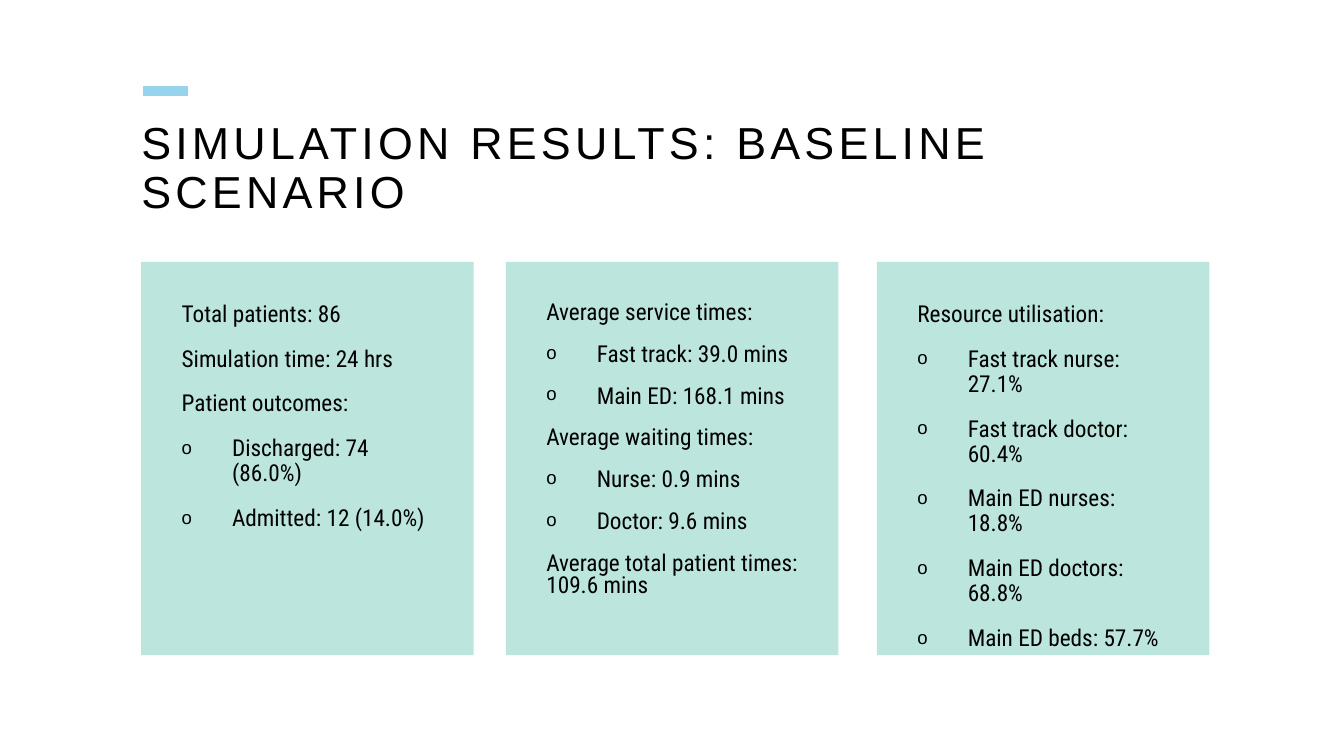
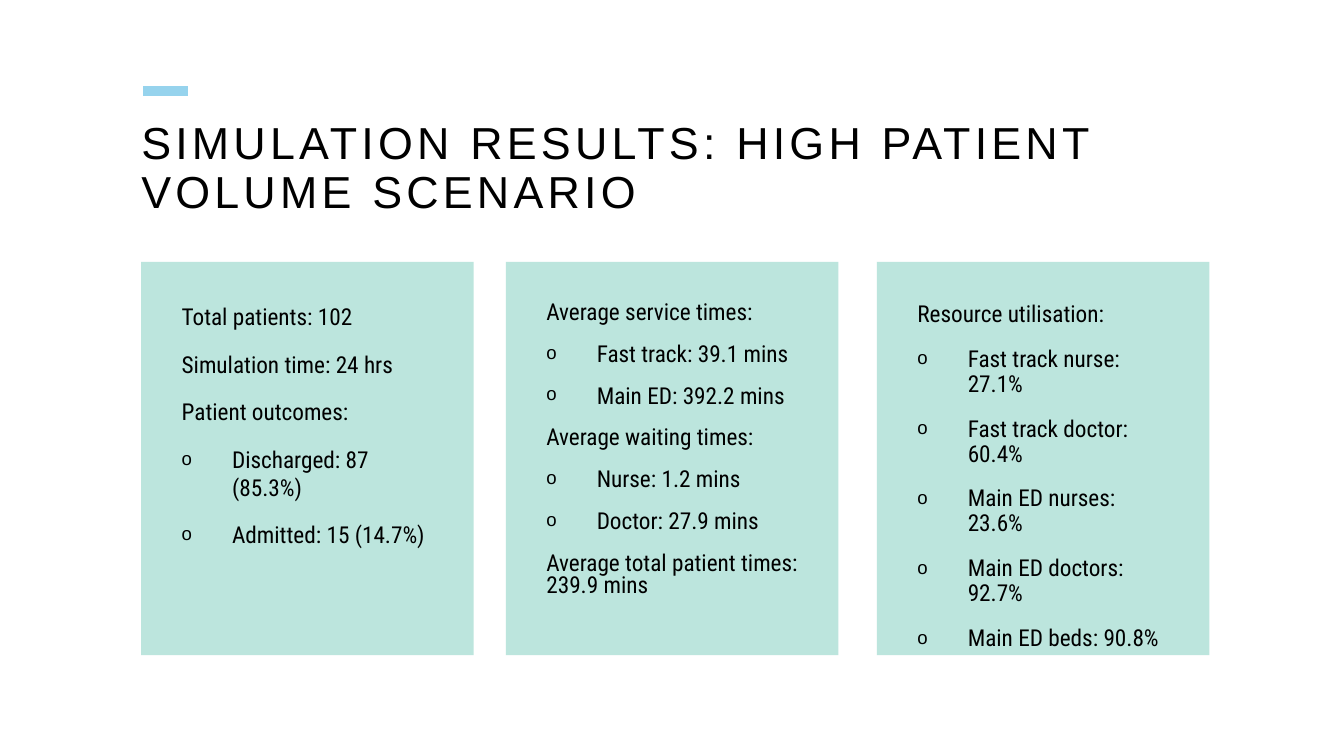
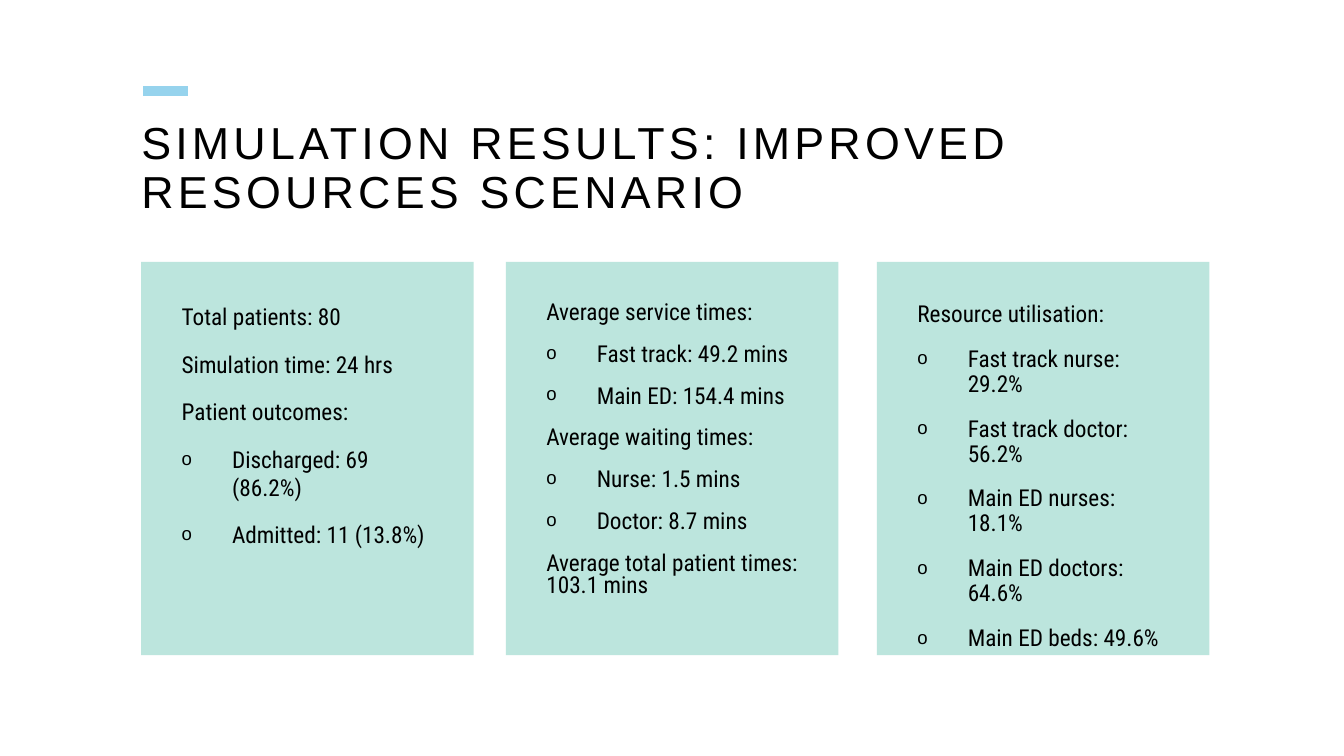
from lxml import etree
from pptx import Presentation
from pptx.dml.color import RGBColor
from pptx.enum import shapes, text
from pptx.oxml import ns
from pptx.util import Cm, Pt

BLACK = RGBColor(0, 0, 0)
SKY = RGBColor(0x96, 0xD3, 0xED)
MINT = RGBColor(0xBC, 0xE5, 0xDD)
HEAD = "Arial"
BODY = "Roboto Condensed"

LEFT = 3.56
LEFTS = (LEFT, 12.75, 22.1)
BULLET = "- "
CARDS = (
    ("Total patients: {}", "Simulation time: {} hrs", "Patient outcomes:",
     "- Discharged: {}", "- Admitted: {}"),
    ("Average service times:", "- Fast track: {} mins", "- Main ED: {} mins",
     "Average waiting times:", "- Nurse: {} mins", "- Doctor: {} mins",
     "Average total patient times: {} mins"),
    ("Resource utilisation:", "- Fast track nurse: {}%",
     "- Fast track doctor: {}%", "- Main ED nurses: {}%",
     "- Main ED doctors: {}%", "- Main ED beds: {}%"),
)
RUNS = (
    ("BASELINE", (0.9, 0.8, 0.9), (
        ("86", "24", "74 (86.0%)", "12 (14.0%)"),
        ("39.0", "168.1", "0.9", "9.6", "109.6"),
        ("27.1", "60.4", "18.8", "68.8", "57.7"))),
    ("HIGH PATIENT VOLUME", (1.0, 0.8, 0.9), (
        ("102", "24", "87 (85.3%)", "15 (14.7%)"),
        ("39.1", "392.2", "1.2", "27.9", "239.9"),
        ("27.1", "60.4", "23.6", "92.7", "90.8"))),
    ("IMPROVED RESOURCES", (1.0, 0.8, 0.9), (
        ("80", "24", "69 (86.2%)", "11 (13.8%)"),
        ("49.2", "154.4", "1.5", "8.7", "103.1"),
        ("29.2", "56.2", "18.1", "64.6", "49.6"))),
)


def set_frame(frame, inset):
    frame.word_wrap = True
    frame.auto_size = text.MSO_AUTO_SIZE.NONE
    frame.vertical_anchor = text.MSO_ANCHOR.TOP
    frame.margin_left = frame.margin_right = Cm(inset)
    frame.margin_top = frame.margin_bottom = Cm(inset)


def set_para(para, font, size, space):
    para.alignment = text.PP_ALIGN.LEFT
    para.line_spacing = space
    for run in para.runs:
        run.font.name = font
        run.font.size = Pt(size)
        run.font.color.rgb = BLACK


def add_child(node, tag, **attrs):
    return etree.SubElement(node, ns.qn(tag), **attrs)


def add_bullet(para):
    props = para._p.get_or_add_pPr()
    props.set("marL", str(Cm(1.27)))
    props.set("indent", str(Cm(-1.27)))
    add_child(add_child(props, "a:buClr"), "a:srgbClr", val=str(BLACK))
    add_child(props, "a:buSzPct", val="80000")
    add_child(props, "a:buFont", typeface=HEAD)
    add_child(props, "a:buChar", char="o")


def add_head(slide, words, left, top, width):
    dash = slide.shapes.add_connector(
        shapes.MSO_CONNECTOR.STRAIGHT,
        Cm(left + 0.05), Cm(top), Cm(left + 1.19), Cm(top))
    dash.line.color.rgb = SKY
    dash.line.width = Pt(7)
    add_child(dash._element.spPr, "a:effectLst")

    title = slide.shapes.title
    title.left, title.top = Cm(left), Cm(top + 0.76)
    title.width, title.height = Cm(width), Cm(2.54)
    title.text_frame.text = words
    set_frame(title.text_frame, 0)
    para = title.text_frame.paragraphs[0]
    set_para(para, HEAD, 32, 0.9)
    for run in para.runs:
        run.font._element.set("spc", "300")


def add_card(slide, lines, space, left, top, width, height):
    card = slide.shapes.add_shape(
        shapes.MSO_SHAPE.RECTANGLE,
        Cm(left), Cm(top), Cm(width), Cm(height))
    card.shadow.inherit = False
    card.fill.solid()
    card.fill.fore_color.rgb = MINT
    card.line.fill.background()
    frame = card.text_frame
    set_frame(frame, 1.02)
    frame.text = "\n".join(line.removeprefix(BULLET) for line in lines)
    for para, line in zip(frame.paragraphs, lines):
        set_para(para, BODY, 16.6, space)
        para.space_before = Pt(14)
        if line.startswith(BULLET):
            add_bullet(para)


def fill_lines(lines, values):
    left = iter(values)
    return [line.format(next(left)) if "{}" in line else line
            for line in lines]


def add_result(deck, name, spaces, values):
    slide = deck.slides.add_slide(deck.slide_layouts[5])
    add_head(slide, f"SIMULATION RESULTS: {name} SCENARIO", LEFT, 2.29, 27.28)
    for left, lines, space, vals in zip(LEFTS, CARDS, spaces, values):
        add_card(slide, fill_lines(lines, vals), space, left, 6.6, 8.38, 9.91)


def main():
    deck = Presentation()
    deck.slide_width, deck.slide_height = Cm(33.87), Cm(19.05)
    for name, spaces, values in RUNS:
        add_result(deck, name, spaces, values)
    deck.save("out.pptx")


if __name__ == "__main__":
    main()
